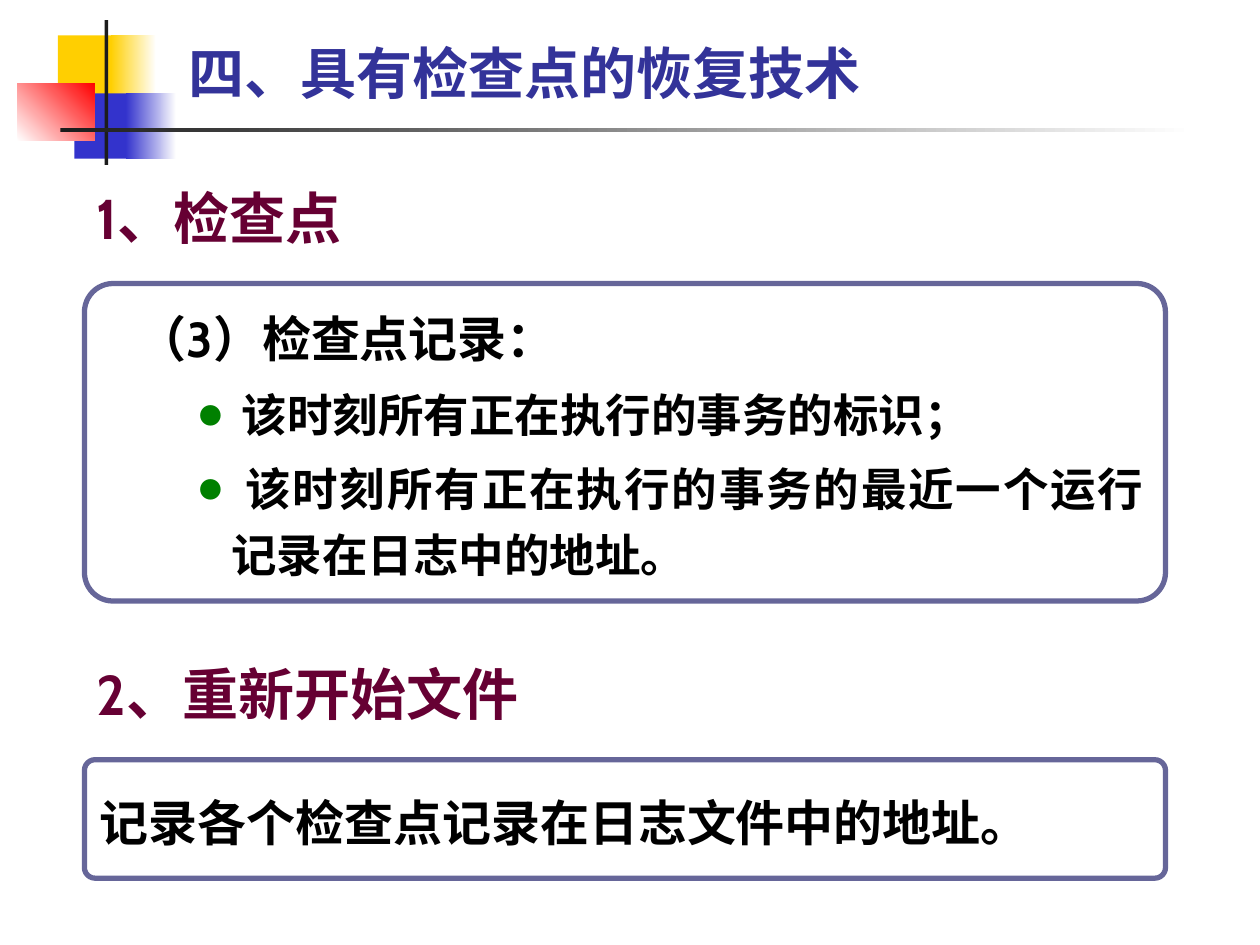
import pptx
import pptx.dml.color
import pptx.enum.shapes
import pptx.enum.text
import pptx.oxml
import pptx.oxml.ns
import pptx.util

Inches, Pt = pptx.util.Inches, pptx.util.Pt
MSO_SHAPE = pptx.enum.shapes.MSO_SHAPE
ANCHOR = pptx.enum.text.MSO_ANCHOR
ALIGN = pptx.enum.text.PP_ALIGN
LATIN, CJK = "Cabin", "Noto Sans CJK SC"
LEFT, PANEL_WIDTH = 0.67, 8.58


def rgb(value):
    """Turn a hex string into a colour."""
    return pptx.dml.color.RGBColor.from_string(value)


def add_box(slide, kind, x, y, w, h):
    """Add a preset shape without shadow or line."""
    s = slide.shapes.add_shape(kind, Inches(x), Inches(y), Inches(w), Inches(h))
    s.shadow.inherit = False
    s.line.fill.background()
    return s


def add_block(slide, x, y, w, h, start, end=None, angle=0):
    """Add a rectangle with a solid or a two-colour gradient fill."""
    s = add_box(slide, MSO_SHAPE.RECTANGLE, x, y, w, h)
    if end is None:
        s.fill.solid()
        s.fill.fore_color.rgb = rgb(start)
        return
    s.fill.gradient()
    s.fill.gradient_angle = angle
    for stop, position, color in zip(s.fill.gradient_stops, (0, 1), (start, end)):
        stop.position = position
        stop.color.rgb = rgb(color)


def add_run(p, text, size, color, font):
    """Append a bold run with Latin and East Asian fonts."""
    r = p.add_run()
    r.text = text
    r.font.size = Pt(size)
    r.font.bold = True
    r.font.name = font
    r.font.color.rgb = rgb(color)
    ea = pptx.oxml.parse_xml(f'<a:ea {pptx.oxml.ns.nsdecls("a")} typeface="{CJK}"/>')
    r.font._element.find(pptx.oxml.ns.qn("a:latin")).addnext(ea)


def set_indent(p, margin, first):
    """Set the left margin and first-line indent of a paragraph."""
    pPr = p._p.get_or_add_pPr()
    pPr.set("marL", str(Inches(margin)))
    pPr.set("indent", str(Inches(first)))


def add_bullet(p):
    """Give a paragraph a small green dot."""
    pPr = p._p.get_or_add_pPr()
    ns = pptx.oxml.ns.nsdecls("a")
    for xml in (f'<a:buClr {ns}><a:srgbClr val="008000"/></a:buClr>',
                f'<a:buSzPct {ns} val="50000"/>',
                f'<a:buFont {ns} typeface="{CJK}"/>',
                f'<a:buChar {ns} char="●"/>'):
        pPr.append(pptx.oxml.parse_xml(xml))


def add_ornament(slide, x, y):
    """Draw the coloured squares and crossing bars of the header."""
    yellow, blue, red, dark, white = "FFCF01", "3333CC", "FF0000", "1C1C1C", "FFFFFF"
    add_block(slide, x + 0.32, y + 0.12, 0.48, 0.52, yellow)
    add_block(slide, x + 0.74, y + 0.12, 0.36, 0.52, yellow, white)
    add_block(slide, x + 0.45, y + 0.58, 0.46, 0.52, blue)
    add_block(slide, x + 0.86, y + 0.58, 0.4, 0.52, blue, white)
    add_block(slide, x, y + 0.5, 0.61, 0.46, white, red, 45)
    add_block(slide, x + 0.69, y, 0.03, 1.15, dark)
    add_block(slide, x + 0.34, y + 0.86, 9, 0.03, dark, white)


def add_text(slide, x, y, w, h):
    """Add a wrapping text box and return its frame."""
    s = slide.shapes.add_textbox(Inches(x), Inches(y), Inches(w), Inches(h))
    tf = s.text_frame
    tf.word_wrap = True
    return tf


def add_title(slide, x, y, w, h, text):
    """Add the slide title."""
    tf = add_text(slide, x, y, w, h)
    tf.vertical_anchor = ANCHOR.MIDDLE
    add_run(tf.paragraphs[0], text, 32, "333399", CJK)


def add_heading(slide, x, y, w, h, text):
    """Add a numbered section heading."""
    p = add_text(slide, x, y, w, h).paragraphs[0]
    set_indent(p, 0.38, -0.38)
    p.line_spacing = 1.2
    add_run(p, text, 32, "660033", LATIN)


def add_panel(slide, x, y, w, h, lead, indent=0, bullets=()):
    """Add an outlined panel with a lead line of runs and optional bullets."""
    s = add_box(slide, MSO_SHAPE.ROUNDED_RECTANGLE, x, y, w, h)
    s.adjustments[0] = 0.09
    s.fill.solid()
    s.fill.fore_color.rgb = rgb("FFFFFF")
    s.line.color.rgb = rgb("666699")
    s.line.width = Pt(3)
    tf = s.text_frame
    tf.word_wrap = True
    tf.vertical_anchor = ANCHOR.MIDDLE
    p = tf.paragraphs[0]
    set_indent(p, 0, indent)
    p.alignment = ALIGN.LEFT
    p.line_spacing = 1.1
    for text, font in lead:
        add_run(p, text, 28, "000000", font)
    for text in bullets:
        p = tf.add_paragraph()
        p.level = 1
        set_indent(p, 1, -0.25)
        p.alignment = ALIGN.JUSTIFY
        p.line_spacing = 1.2
        p.space_before = Pt(5)
        add_bullet(p)
        add_run(p, text, 26, "000000", CJK)


def main():
    """Build the slide and save it."""
    prs = pptx.Presentation()
    prs.slide_width, prs.slide_height = Inches(10), Inches(7.5)
    slide = prs.slides.add_slide(prs.slide_layouts[6])
    add_ornament(slide, 0.14, 0.16)
    add_title(slide, 1.4, 0.36, 6.2, 0.43, "四、具有检查点的恢复技术")
    add_heading(slide, LEFT, 1.3, 6.93, 0.72, "1、检查点")
    add_panel(slide, LEFT, 2.25, PANEL_WIDTH, 2.52,
              [("（3）检查点记录：", LATIN)], 0.26,
              [" 该时刻所有正在执行的事务的标识；",
               " 该时刻所有正在执行的事务的最近一个运行记录在日志中的地址。"])
    add_heading(slide, LEFT, 5.08, 6.38, 0.72, "2、重新开始文件")
    add_panel(slide, LEFT, 6.03, PANEL_WIDTH, 0.94,
              [("记录各个检查点记录在日志文件中的地址", CJK), ("。", LATIN)])
    prs.save("out.pptx")


if __name__ == "__main__":
    main()
